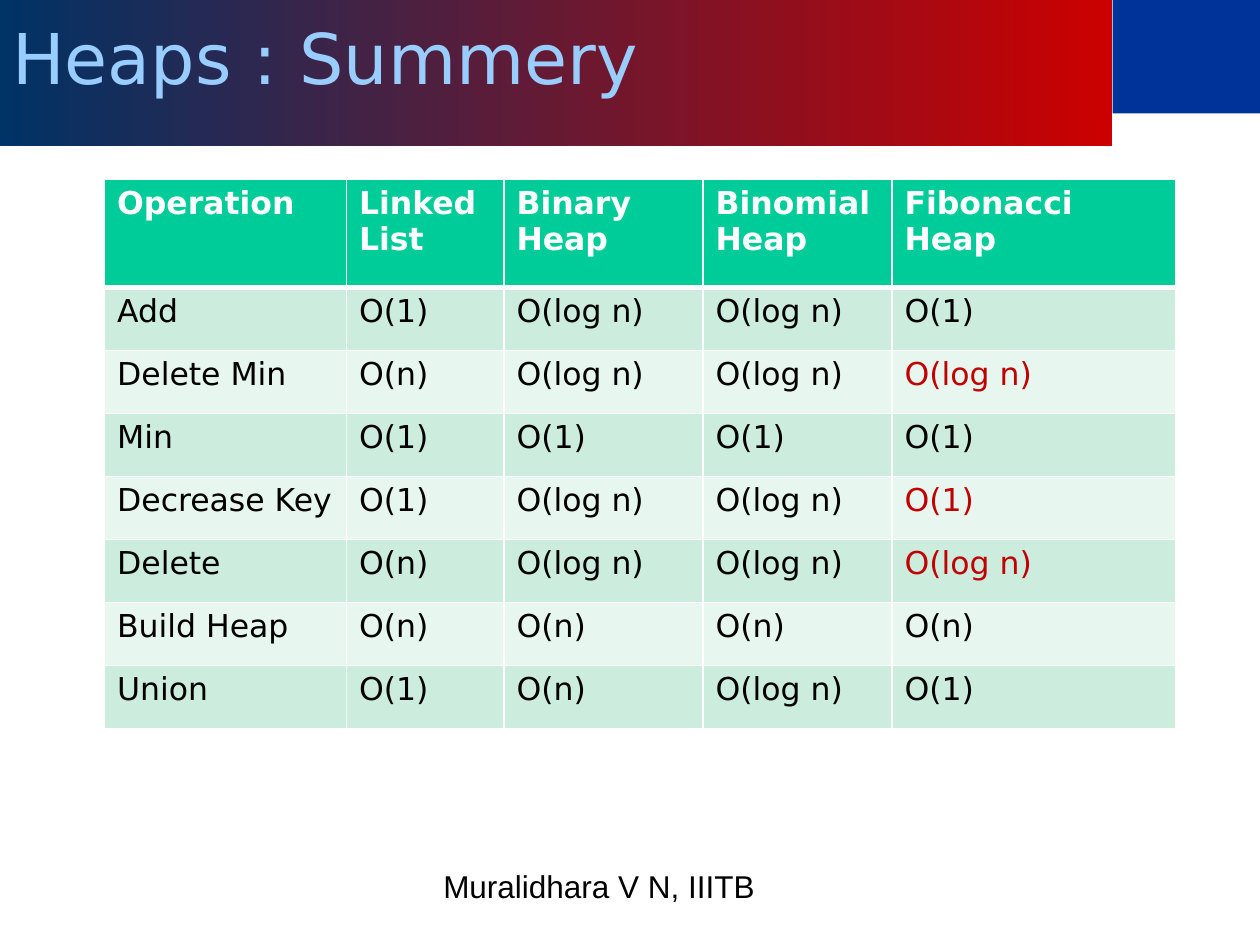
from lxml import etree
from pptx import Presentation, util as u
from pptx.dml.color import RGBColor
from pptx.enum import shapes, text
from pptx.oxml.ns import qn

# Content
TITLE = "Heaps : Summery"
FOOTER = "Muralidhara V N, IIITB"
ROWS = [
    ("Operation", "Linked List", "Binary Heap", "Binomial Heap", "Fibonacci Heap"),
    ("Add", "O(1)", "O(log n)", "O(log n)", "O(1)"),
    ("Delete Min", "O(n)", "O(log n)", "O(log n)", "O(log n)"),
    ("Min", "O(1)", "O(1)", "O(1)", "O(1)"),
    ("Decrease Key", "O(1)", "O(log n)", "O(log n)", "O(1)"),
    ("Delete", "O(n)", "O(log n)", "O(log n)", "O(log n)"),
    ("Build Heap", "O(n)", "O(n)", "O(n)", "O(n)"),
    ("Union", "O(1)", "O(n)", "O(log n)", "O(1)"),
]
HIGHLIGHTED = {"Delete Min", "Decrease Key", "Delete"}  # last column in red
COL_WIDTHS = [1.92, 1.25, 1.58, 1.5, 2.25]
HEADER_HEIGHT, ROW_HEIGHT = 0.86, 0.5

THEME = dict(
    corner="003399", grad_right="CC0000", grad_left="003366", title="99CCFF",
    header="00CC99", bands=("E7F6EF", "CCECDE"), rule="FFFFFF",
    head_text="FFFFFF", body="000000", highlight="C00000",
    font="DejaVu Sans", footer_font="Arial", title_size=40, size=18,
)


def rgb(name):
    return RGBColor.from_string(name)


def box(*at):
    return [u.Inches(v) for v in at]


def add_run(tf, words, size, font, color, bold=False):
    p = tf.paragraphs[0]
    p.alignment = text.PP_ALIGN.LEFT
    r = p.add_run()
    r.text = words
    r.font.size, r.font.name, r.font.bold = u.Pt(size), font, bold
    r.font.color.rgb = rgb(color)


def add_rect(s, *at):
    sp = s.shapes.add_shape(shapes.MSO_SHAPE.RECTANGLE, *box(*at))
    sp.shadow.inherit = False
    sp.line.fill.background()
    return sp


def set_borders(cell, **widths):
    tcPr = cell._tc.get_or_add_tcPr()
    for i, (side, width) in enumerate(widths.items()):
        ln = etree.Element(qn("a:ln" + side), w=str(u.Pt(width)))
        fill = etree.SubElement(ln, qn("a:solidFill"))
        etree.SubElement(fill, qn("a:srgbClr"), val=THEME["rule"])
        tcPr.insert(i, ln)


def add_heap_table(s):
    height = HEADER_HEIGHT + ROW_HEIGHT * (len(ROWS) - 1)
    table = s.shapes.add_table(len(ROWS), len(COL_WIDTHS),
                               *box(0.83, 1.42, sum(COL_WIDTHS), height)).table
    for col, width in zip(table.columns, COL_WIDTHS):
        col.width = u.Inches(width)
    for i, row in enumerate(ROWS):
        head = i == 0
        table.rows[i].height = u.Inches(HEADER_HEIGHT if head else ROW_HEIGHT)
        for j, words in enumerate(row):
            cell = table.cell(i, j)
            cell.fill.solid()
            cell.fill.fore_color.rgb = rgb(THEME["header"] if head else THEME["bands"][i % 2])
            red = row[0] in HIGHLIGHTED and j == len(row) - 1
            color = "head_text" if head else "highlight" if red else "body"
            add_run(cell.text_frame, words, THEME["size"], THEME["font"], THEME[color], head)
            set_borders(cell, L=1, R=1, T=3 if i == 1 else 1, B=3 if head else 1)


def main():
    prs = Presentation()
    prs.slide_width, prs.slide_height = box(10, 7.5)
    s = prs.slides.add_slide(prs.slide_layouts[6])

    # Corner block
    sp = add_rect(s, 8.83, 0, 1.17, 0.9)
    sp.fill.solid()
    sp.fill.fore_color.rgb = rgb(THEME["corner"])

    # Title band
    sp = add_rect(s, 0, -0.27, 8.83, 1.43)
    sp.fill.gradient()
    sp.fill.gradient_angle = 180
    for stop, name in zip(sp.fill.gradient_stops, ("grad_right", "grad_left")):
        stop.color.rgb = rgb(THEME[name])
    tf = sp.text_frame
    tf.word_wrap = True
    tf.vertical_anchor = text.MSO_ANCHOR.MIDDLE
    add_run(tf, TITLE, THEME["title_size"], THEME["font"], THEME["title"])

    # Footer
    tf = s.shapes.add_textbox(*box(3.42, 6.83, 3.16, 0.52)).text_frame
    tf.word_wrap = True
    add_run(tf, FOOTER, THEME["size"], THEME["footer_font"], THEME["body"])

    # Complexity table
    add_heap_table(s)
    prs.save("out.pptx")


if __name__ == "__main__":
    main()
